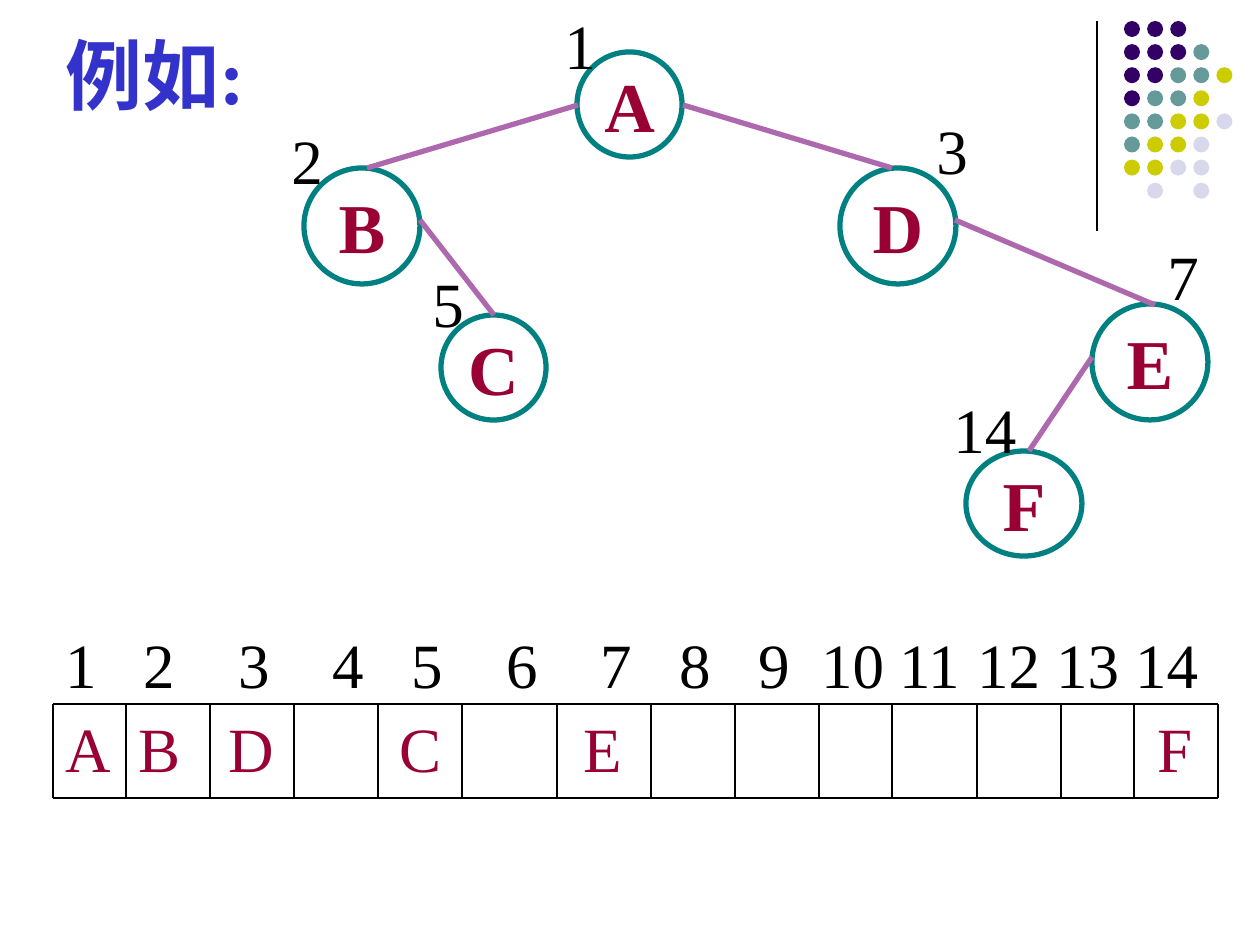
import pptx
import pptx.util
import pptx.dml.color
import pptx.enum.shapes
import pptx.enum.text
import pptx.oxml.ns
import lxml.etree

Oval = pptx.enum.shapes.MSO_SHAPE.OVAL
Align = pptx.enum.text.PP_ALIGN
Anchor = pptx.enum.text.MSO_ANCHOR
qn = pptx.oxml.ns.qn
scale = 914400 / 126
tint = pptx.dml.color.RGBColor.from_string


def line(x1, y1, x2, y2, color, width):
    link = slide.shapes.add_connector(
        pptx.enum.shapes.MSO_CONNECTOR.STRAIGHT,
        *[round(v * scale) for v in (x1, y1, x2, y2)])
    link.line.color.rgb = tint(color)
    link.line.width = pptx.util.Pt(width)
    lxml.etree.SubElement(link._element.spPr, qn("a:effectLst"))


def write(shape, text, size, color, bold=False, align=Align.LEFT, anchor=Anchor.TOP):
    frame = shape.text_frame
    frame.word_wrap = False
    frame.vertical_anchor = anchor
    frame.text = text
    para = frame.paragraphs[0]
    para.alignment = align
    para.font.name = "Times New Roman"
    para.font.size = pptx.util.Pt(size)
    para.font.bold = bold
    para.font.color.rgb = tint(color)
    return para


deck = pptx.Presentation()
deck.slide_width = round(1260 * scale)
deck.slide_height = round(945 * scale)
slide = deck.slides.add_slide(deck.slide_layouts[5])
shapes = slide.shapes

# Corner ornament
line(1097, 21, 1097, 231, "000000", 0.75)
dots = {"P": "330066", "T": "669999", "Y": "CCCC00", "L": "D8D8EC"}
rows = ["PPP", "PPPT", "PPTTY", "PTTY", "TTYYL", "TYYL", "YYLL", " L L"]
for r, row in enumerate(rows):
    for c, key in enumerate(row):
        if key in dots:
            box = [1124 + 23.1 * c, 21 + 23.1 * r, 16, 16]
            dot = shapes.add_shape(Oval, *[round(v * scale) for v in box])
            dot.shadow.inherit = False
            dot.fill.solid()
            dot.fill.fore_color.rgb = tint(dots[key])
            dot.line.fill.background()

# Title
title = shapes.title
title.left, title.top, title.width, title.height = [
    round(v * scale) for v in (53, 21, 207, 105)]
write(title, "例如:", 44, "3333CC", True)

# Array grid
left, right, top, base = 53, 1218, 704, 798
for y in (top, base):
    line(left, y, right, y, "000000", 1)
for x in (left, 126, 210, 294, 378, 462, 557, 651, 735,
          819, 892, 977, 1061, 1134, right):
    line(x, top, x, base, "000000", 1)

# Array labels, set on tab stops
start = 65
lists = [
    (703, "990033", [("A", 65), ("B", 138), ("D", 228), ("C", 399),
                     ("E", 583), ("F", 1157)]),
    (619, "000000", list(zip(
        [str(n) for n in range(1, 15)],
        [65, 143, 238, 332, 411, 506, 600, 679, 758, 821, 899, 977, 1056, 1135]))),
]
for y, color, items in lists:
    box = shapes.add_textbox(*[round(v * scale) for v in (42, y, 1190, 88)])
    box.text_frame.margin_left = round((start - 42) * scale)
    box.text_frame.margin_right = 0
    para = write(box, "\t".join(text for text, x in items), 36, color)
    tabs = lxml.etree.Element(qn("a:tabLst"))
    for text, x in items[1:]:
        lxml.etree.SubElement(tabs, qn("a:tab"),
                              pos=str(round((x - start) * scale)), algn="l")
    para._p.get_or_add_pPr().find(qn("a:defRPr")).addprevious(tabs)

# Tree nodes
nodes = [("A", 577, 52, 105, 105), ("B", 304, 168, 116, 116),
         ("C", 441, 315, 105, 105), ("D", 840, 168, 116, 116),
         ("E", 1092, 304, 116, 116), ("F", 966, 451, 116, 105)]
for text, *box in nodes:
    node = shapes.add_shape(Oval, *[round(v * scale) for v in box])
    node.shadow.inherit = False
    node.fill.solid()
    node.fill.fore_color.rgb = tint("FFFFFF")
    node.line.color.rgb = tint("008080")
    node.line.width = pptx.util.Pt(3)
    write(node, text, 40, "990033", True, Align.CENTER, Anchor.MIDDLE)

# Tree edges
for ends in [(578, 105, 367, 168), (420, 220, 494, 315), (683, 105, 892, 168),
             (955, 220, 1155, 305), (1092, 357, 1029, 451)]:
    line(*ends, "AE68AE", 3)

# Node numbers
for text, x, y in [("2", 279, 115), ("5", 420, 258), ("1", 552, 0),
                   ("14", 941, 384), ("3", 924, 105), ("7", 1155, 231)]:
    box = (x, y, 25 + 32 * len(text), 89)
    label = shapes.add_textbox(*[round(v * scale) for v in box])
    write(label, text, 36, "000000")

deck.save("out.pptx")
